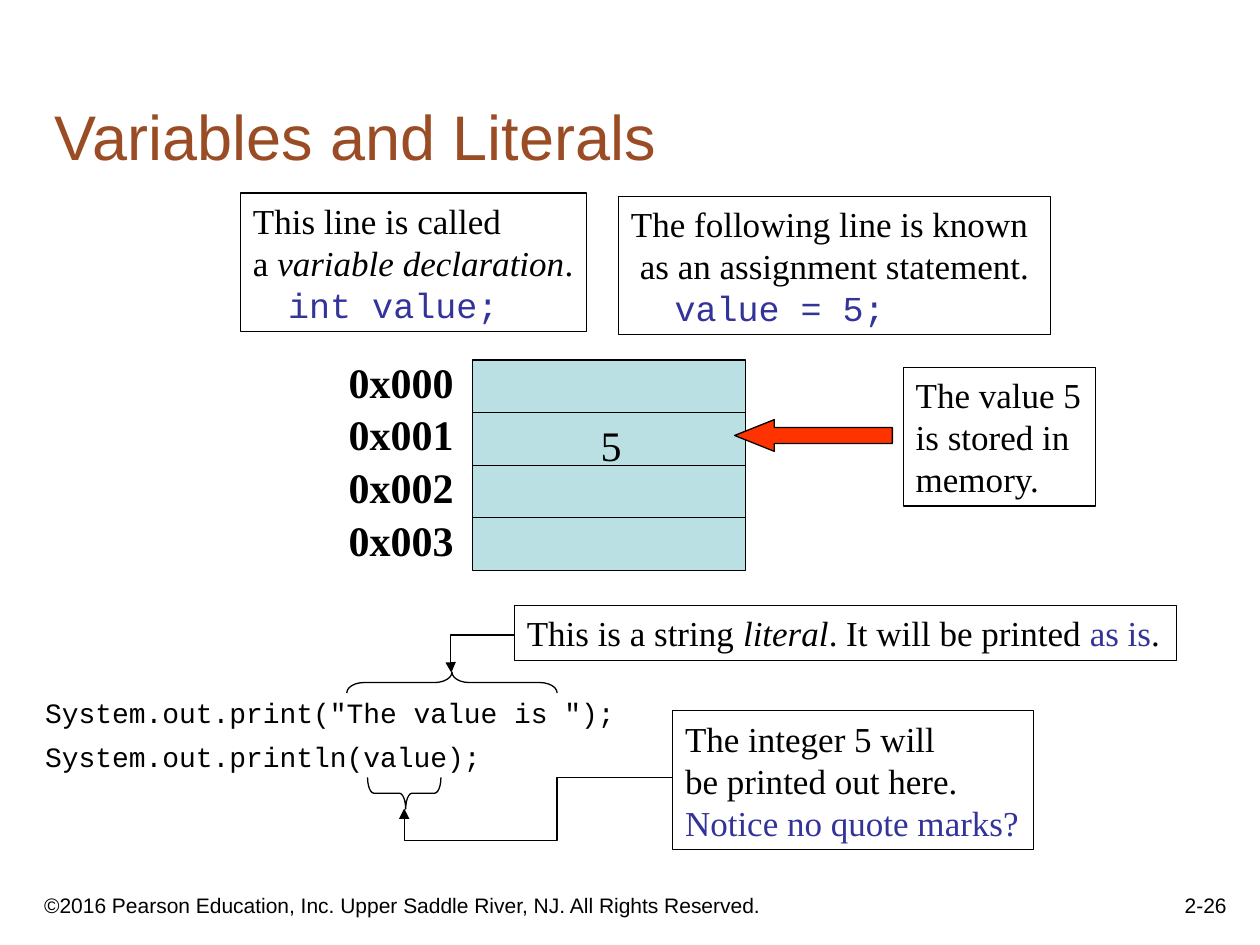
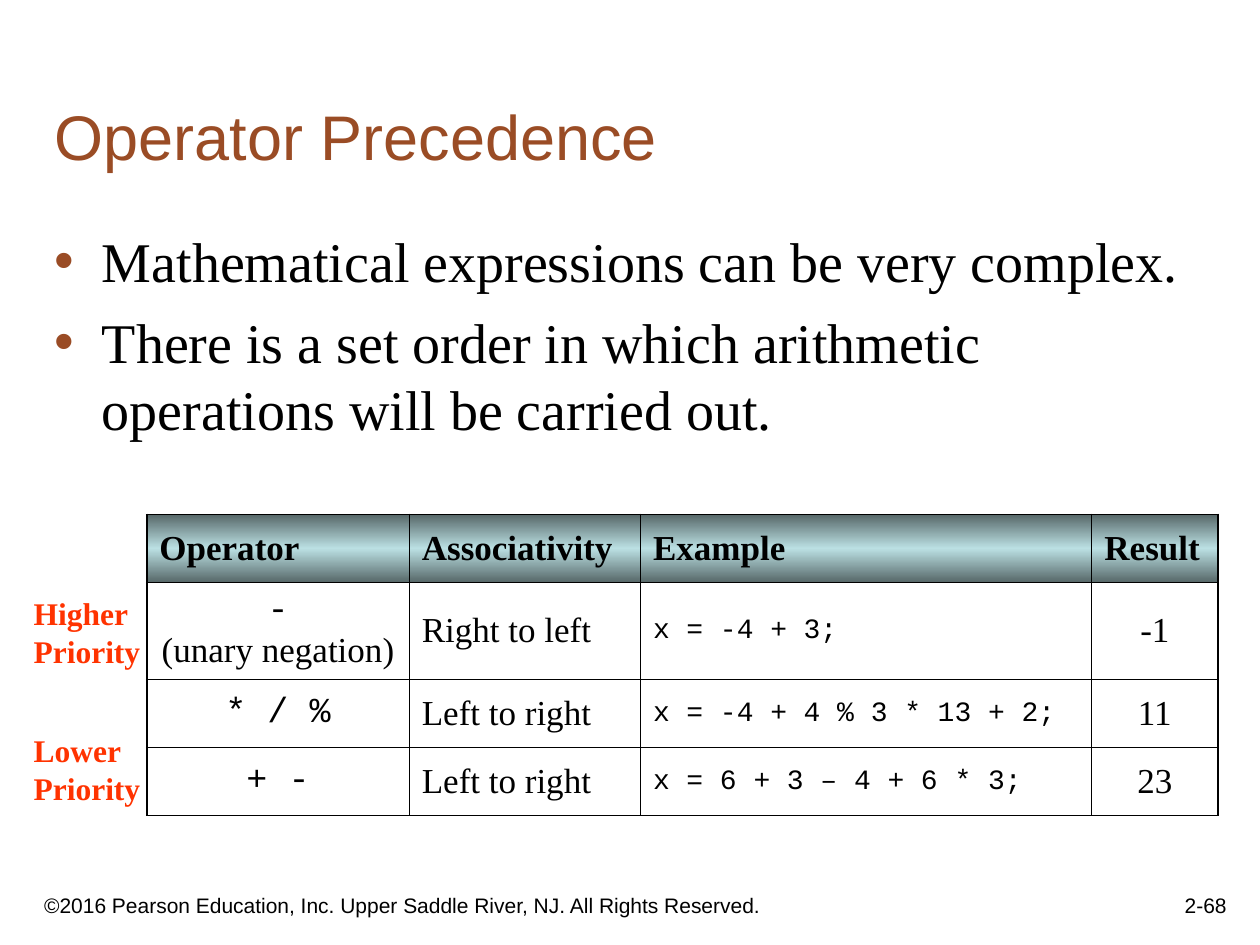
from lxml import etree
from pptx import Presentation
from pptx.dml.color import RGBColor
from pptx.enum.shapes import MSO_CONNECTOR, MSO_SHAPE
from pptx.enum.text import MSO_ANCHOR, MSO_AUTO_SIZE, PP_ALIGN
from pptx.oxml import parse_xml
from pptx.oxml.ns import nsdecls, qn
from pptx.util import Cm, Pt

LEFT, CENTER, RIGHT = PP_ALIGN.LEFT, PP_ALIGN.CENTER, PP_ALIGN.RIGHT
TOP, MIDDLE, BOTTOM = MSO_ANCHOR.TOP, MSO_ANCHOR.MIDDLE, MSO_ANCHOR.BOTTOM
RECTANGLE, LEFT_ARROW = MSO_SHAPE.RECTANGLE, MSO_SHAPE.LEFT_ARROW
LEFT_BRACE, ELBOW = MSO_SHAPE.LEFT_BRACE, MSO_CONNECTOR.ELBOW
FIT_SHAPE, FIXED = MSO_AUTO_SIZE.SHAPE_TO_FIT_TEXT, MSO_AUTO_SIZE.NONE

COLORS = {"ink": "000000", "title": "9A4C25", "code": "333399", "alert": "FF3300",
          "memory": "BBE0E3", "header_edge": "576869"}
SANS, SERIF, MONO = "Arial", "Times New Roman", "Courier New"

# Text formats
TITLE = {"size": 36, "name": SANS, "color": "title"}
FOOTER = {"size": 12, "name": SANS, "color": "ink"}
NOTE = {"size": 20, "name": SERIF, "color": "ink"}
BODY = {**NOTE, "size": 32}
MEMORY = {**NOTE, "size": 24}
ADDRESS = {**MEMORY, "bold": True}
PRIORITY = {**NOTE, "size": 18, "color": "alert", "bold": True}
CODE = {**NOTE, "size": 16, "name": MONO}
OPERATOR = {**NOTE, "name": MONO}
HEADER = {**NOTE, "bold": True}
ITALIC, BLUE = {"italic": True}, {"color": "code"}
BLUE_CODE = {"name": MONO, "color": "code"}

COPYRIGHT = "©2016 Pearson Education, Inc. Upper Saddle River, NJ. All Rights Reserved."

# Slide 1: a line is a string or a list of (text, format changes)
LITERALS_TITLE, LITERALS_NUMBER = "Variables and Literals", "2-26"
CALLOUTS = [
    {"box": (4.85, 3.89, 6.98, 2.79), "indents": (0, 0, 0.71), "lines": [
        "This line is called",
        [("a ", {}), ("variable declaration", ITALIC), (".", {})],
        [("int value;", BLUE_CODE)]]},
    {"box": (12.47, 3.96, 8.71, 2.79), "indents": (0, 0.18, 0.88), "lines": [
        "The following line is known",
        "as an assignment statement.",
        [("value = 5;", BLUE_CODE)]]},
    {"box": (10.37, 12.2, 13.35, 1.12), "lines": [
        [("This is a string ", {}), ("literal", ITALIC),
         (". It will be printed ", {}), ("as is", BLUE), (".", {})]]},
    {"box": (13.56, 14.33, 7.27, 2.79), "lines": [
        "The integer 5 will", "be printed out here.",
        [("Notice no quote marks?", BLUE)]]},
    {"box": (18.21, 7.41, 3.87, 2.79), "lines": [
        "The value 5", "is stored in", "memory."]},
]
PRINT_CODE = ['System.out.print("The value is ");', "System.out.println(value);"]
PRINT_CODE_BOX = (0.66, 13.97, 12.1, 1.75)
ADDRESSES = ["0x000", "0x001", "0x002", "0x003"]
MEMORY_LEFT, MEMORY_TOP, MEMORY_WIDTH, MEMORY_PITCH = 9.53, 7.26, 5.5, 1.06
STORED_VALUE, STORED_VALUE_BOX = "5", (11.86, 8.33, 0.95, 1.27)
VALUE_ARROW_BOX = (14.81, 8.46, 3.18, 0.64)
# Brace: extent on the slide, rotation, curve radius, place of the point
BRACES = [((6.99, 13.55, 4.24, 0.42), 90, 0.83, 0.5),
          ((7.41, 15.67, 1.48, 0.64), 270, 0.2, 0.52)]
# Pointer: start, end, connector geometry, bends
POINTERS = [((10.37, 12.8), (9.1, 13.56), "bentConnector3", (1.01,)),
            ((13.55, 15.67), (8.15, 16.3), "bentConnector4", (0.43, 2.03))]

# Slide 2
PRECEDENCE_TITLE, PRECEDENCE_NUMBER = "Operator Precedence", "2-68"
BULLETS = ["Mathematical expressions can be very complex.",
           "There is a set order in which arithmetic operations will be carried out."]
TABLE_ROWS = [
    ["Operator", "Associativity", "Example", "Result"],
    [[("-", {}), ("\n", {}), ("(unary negation)", NOTE)],
     "Right to left", "x = -4 + 3;", "-1"],
    ["* / %", "Left to right", "x = -4 + 4 % 3 * 13 + 2;", "11"],
    ["+ -", "Left to right", "x = 6 + 3 – 4 + 6 * 3;", "23"],
]
TABLE_LEFT, TABLE_TOP = 2.96, 10.37
COLUMN_WIDTHS = [5.29, 4.66, 9.1, 2.54]
ROW_HEIGHTS = [1.37, 1.96, 1.37, 1.37]
COLUMN_FORMATS = [(OPERATOR, CENTER), (NOTE, LEFT), (CODE, LEFT), (NOTE, CENTER)]
PRIORITIES = [("Higher", 11.86), ("Lower", 14.61)]


def rgb(name):
    return RGBColor.from_string(COLORS[name])


def lengths(box):
    return [Cm(value) for value in box]


def write(frame, lines, text_format, indents=(), **paragraph_format):
    """Fill a text frame, one paragraph for each line."""
    for index, line in enumerate(lines):
        paragraph = frame.paragraphs[0] if index == 0 else frame.add_paragraph()
        for key, value in paragraph_format.items():
            setattr(paragraph, key, value)
        if index == 0:
            paragraph.space_before = Pt(0)
        if indents and indents[index]:
            paragraph._p.get_or_add_pPr().set("marL", str(Cm(indents[index])))
        for text, changes in [(line, {})] if isinstance(line, str) else line:
            if text == "\n":
                paragraph.add_line_break()
                continue
            run = paragraph.add_run()
            run.text = text
            values = {**text_format, **changes}
            run.font.color.rgb = rgb(values.pop("color"))
            run.font.size = Pt(values.pop("size"))
            for key, value in values.items():
                setattr(run.font, key, value)


def add_text(slide, box, lines, text_format, wrap=False, anchor=TOP, **options):
    text_box = slide.shapes.add_textbox(*lengths(box))
    frame = text_box.text_frame
    frame.word_wrap = wrap
    frame.auto_size = FIXED if wrap else FIT_SHAPE
    frame.vertical_anchor = anchor
    write(frame, lines, text_format, **options)
    return text_box


def outline(shape):
    shape.line.color.rgb = rgb("ink")
    shape.line.width = Pt(0.75)


def add_outlined(slide, kind, box, fill=None):
    shape = slide.shapes.add_shape(kind, *lengths(box))
    shape.shadow.inherit = False
    if fill:
        shape.fill.solid()
        shape.fill.fore_color.rgb = rgb(fill)
    else:
        shape.fill.background()
    outline(shape)
    return shape


def place(placeholder, box, anchor):
    placeholder.left, placeholder.top, placeholder.width, placeholder.height = lengths(box)
    frame = placeholder.text_frame
    frame.auto_size = FIXED
    frame.word_wrap = True
    frame.vertical_anchor = anchor
    return frame


def start_slide(presentation, layout_index, title, number):
    """Add a slide with its title, copyright line and number."""
    slide = presentation.slides.add_slide(presentation.slide_layouts[layout_index])
    write(place(slide.shapes.title, (0.85, 0.84, 23.92, 2.77), BOTTOM),
          [title], TITLE, alignment=LEFT)
    add_text(slide, (0.64, 17.57, 15.45, 1.06), [COPYRIGHT], FOOTER,
             wrap=True, anchor=BOTTOM)
    add_text(slide, (19.69, 17.36, 5.29, 1.27), [number], FOOTER,
             wrap=True, anchor=BOTTOM, alignment=RIGHT)
    return slide


def add_brace(slide, extent, rotation, radius, point):
    """Lay a left brace on its side so that it fills the extent."""
    left, top, width, height = extent
    shift = (width - height) / 2
    brace = add_outlined(slide, LEFT_BRACE, (left + shift, top - shift, height, width))
    brace.rotation = rotation
    brace.adjustments[0], brace.adjustments[1] = radius, point


def add_pointer(slide, start, end, geometry, bends):
    connector = slide.shapes.add_connector(ELBOW, *lengths(start + end))
    outline(connector)
    properties = connector._element.spPr
    preset = properties.find(qn("a:prstGeom"))
    preset.set("prst", geometry)
    guides = preset.find(qn("a:avLst"))
    if guides is None:
        guides = etree.SubElement(preset, qn("a:avLst"))
    for index, bend in enumerate(bends, 1):
        etree.SubElement(guides, qn("a:gd"), name=f"adj{index}",
                         fmla=f"val {round(bend * 100000)}")
    etree.SubElement(properties.find(qn("a:ln")), qn("a:tailEnd"), type="triangle")
    etree.SubElement(properties, qn("a:effectLst"))


def add_memory(slide):
    for index, address in enumerate(ADDRESSES):
        top = MEMORY_TOP + index * MEMORY_PITCH
        add_outlined(slide, RECTANGLE,
                     (MEMORY_LEFT, top, MEMORY_WIDTH, MEMORY_PITCH), "memory")
        add_text(slide, (MEMORY_LEFT - 2.75, top - 0.2, 2.7, 1.27), [address], ADDRESS)
    add_text(slide, STORED_VALUE_BOX, [STORED_VALUE], MEMORY)
    arrow = add_outlined(slide, LEFT_ARROW, VALUE_ARROW_BOX, "alert")
    arrow.adjustments[0], arrow.adjustments[1] = 0.5, 1.25


def build_literals(presentation):
    slide = start_slide(presentation, 5, LITERALS_TITLE, LITERALS_NUMBER)
    for callout in CALLOUTS:
        outline(add_text(slide, callout["box"], callout["lines"], NOTE,
                         indents=callout.get("indents", ())))
    add_text(slide, PRINT_CODE_BOX, PRINT_CODE, CODE, line_spacing=0.9,
             space_before=Pt(4), space_after=Pt(4))
    for brace in BRACES:
        add_brace(slide, *brace)
    for pointer in POINTERS:
        add_pointer(slide, *pointer)
    add_memory(slide)


def add_bullet(paragraph):
    properties = paragraph._p.get_or_add_pPr()
    properties.set("marL", str(Cm(0.95)))
    properties.set("indent", str(Cm(-0.95)))
    color = etree.SubElement(properties, qn("a:buClr"))
    etree.SubElement(color, qn("a:srgbClr"), val=COLORS["title"])
    etree.SubElement(properties, qn("a:buFont"), typeface=SANS)
    etree.SubElement(properties, qn("a:buChar"), char="•")


def style_cell(cell, row, column):
    """Draw a heavy line on the table's edge, thin lines inside, a gradient in the header."""
    cell.fill.background()
    properties = cell._tc.get_or_add_tcPr()
    on_edge = {"lnL": column == 0, "lnR": column == len(COLUMN_WIDTHS) - 1,
               "lnT": row == 0, "lnB": row == len(ROW_HEIGHTS) - 1}
    for index, (side, heavy) in enumerate(on_edge.items()):
        width = Pt(1.08 if heavy else 0.45)
        properties.insert(index, parse_xml(
            f'<a:{side} {nsdecls("a")} w="{width}"><a:solidFill>'
            f'<a:srgbClr val="{COLORS["ink"]}"/></a:solidFill></a:{side}>'))
    if row == 0:
        stops = "".join(
            f'<a:gs pos="{position}"><a:srgbClr val="{COLORS[name]}"/></a:gs>'
            for position, name in [(0, "header_edge"), (50000, "memory"),
                                   (100000, "header_edge")])
        properties.replace(properties.find(qn("a:noFill")), parse_xml(
            f'<a:gradFill {nsdecls("a")} rotWithShape="1"><a:gsLst>{stops}</a:gsLst>'
            f'<a:lin ang="5400000" scaled="1"/></a:gradFill>'))


def add_precedence_table(slide):
    box = (TABLE_LEFT, TABLE_TOP, sum(COLUMN_WIDTHS), sum(ROW_HEIGHTS))
    table = slide.shapes.add_table(len(ROW_HEIGHTS), len(COLUMN_WIDTHS), *lengths(box)).table
    table.first_row = table.horz_banding = False
    for column, width in zip(table.columns, COLUMN_WIDTHS):
        column.width = Cm(width)
    for row, height in zip(table.rows, ROW_HEIGHTS):
        row.height = Cm(height)
    for row, texts in enumerate(TABLE_ROWS):
        for column, text in enumerate(texts):
            cell = table.cell(row, column)
            cell.vertical_anchor = MIDDLE
            text_format, alignment = COLUMN_FORMATS[column] if row else (HEADER, LEFT)
            write(cell.text_frame, [text], text_format, alignment=alignment)
            style_cell(cell, row, column)


def build_precedence(presentation):
    slide = start_slide(presentation, 1, PRECEDENCE_TITLE, PRECEDENCE_NUMBER)
    body = place(slide.placeholders[1], (0.85, 4.44, 23.04, 12.7), TOP)
    body.margin_right = 0
    write(body, BULLETS, BODY, space_before=Pt(8))
    for paragraph in body.paragraphs:
        add_bullet(paragraph)
    add_precedence_table(slide)
    for level, top in PRIORITIES:
        add_text(slide, (0.43, top, 2.75, 1.78), [level, "Priority"], PRIORITY)


def main():
    presentation = Presentation()
    presentation.slide_width, presentation.slide_height = Cm(25.4), Cm(19.05)
    build_literals(presentation)
    build_precedence(presentation)
    presentation.save("out.pptx")


if __name__ == "__main__":
    main()
